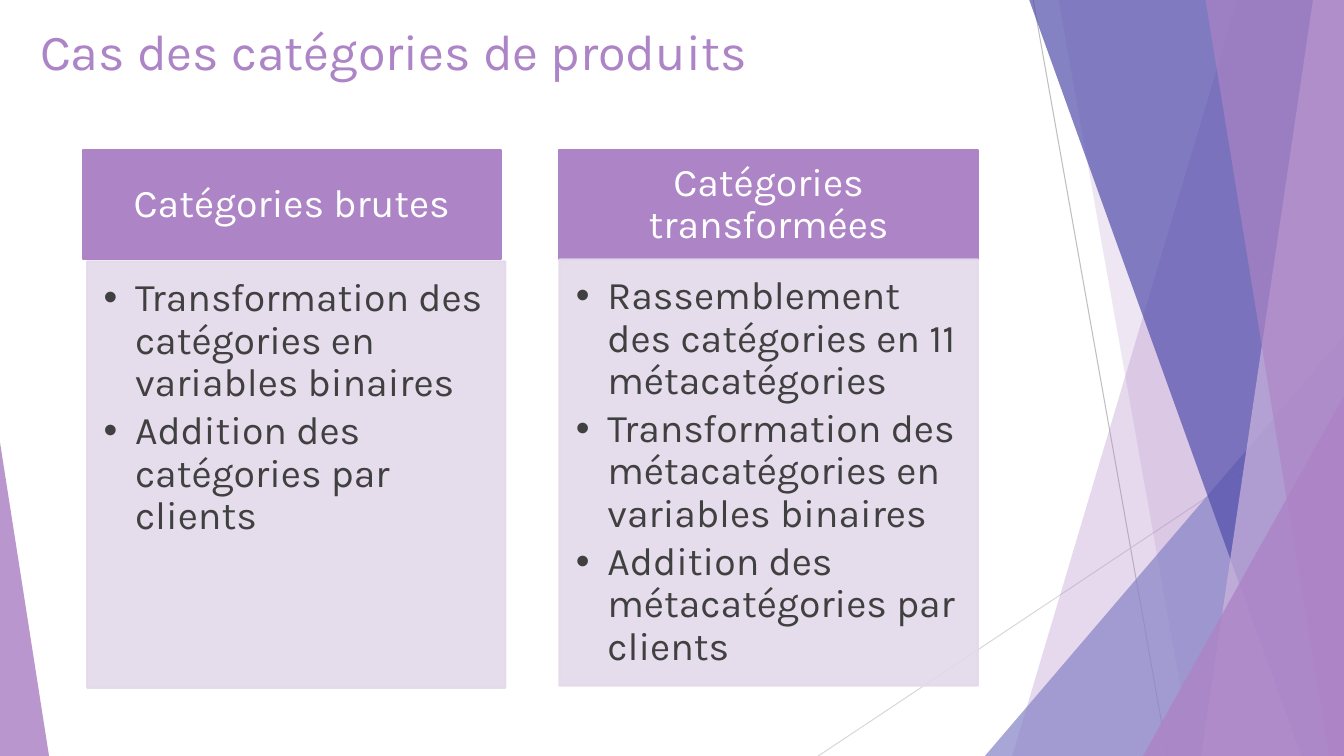
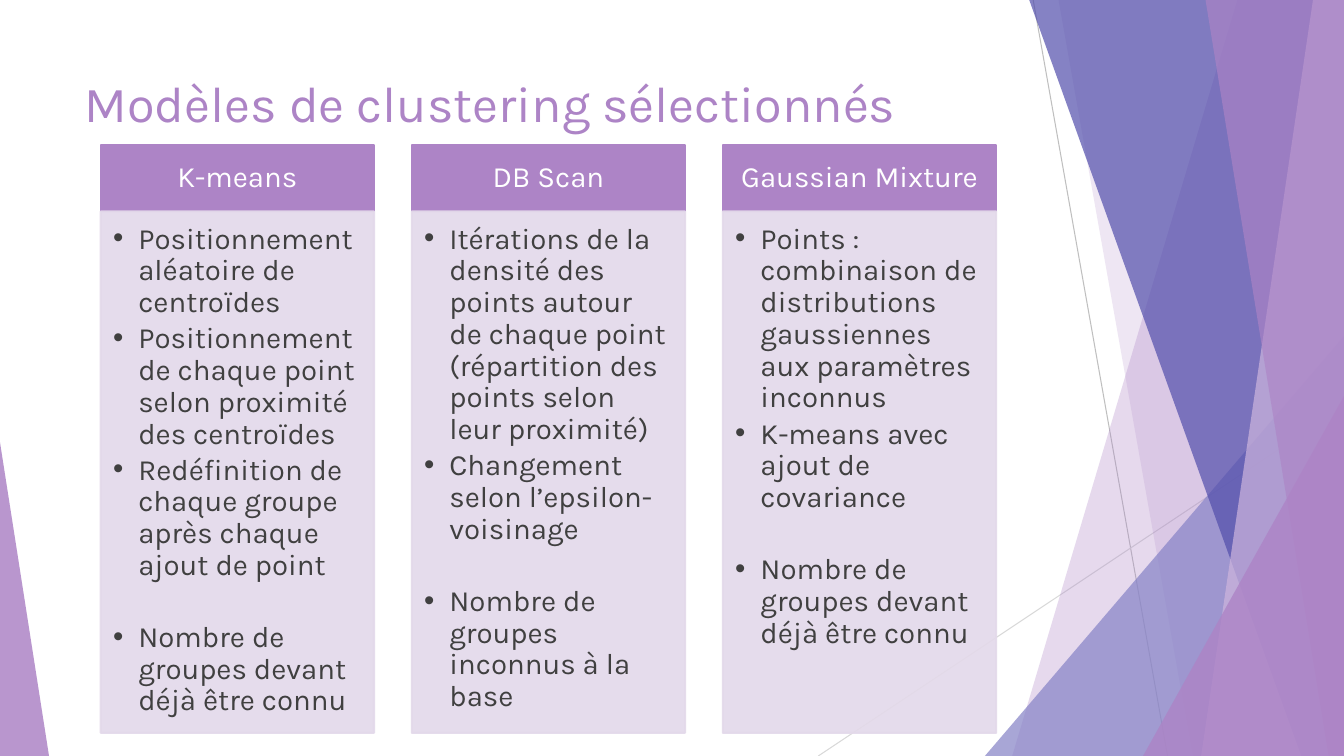
import pptx
import pptx.util
import pptx.dml.color
import pptx.enum.shapes
import pptx.enum.text
import pptx.oxml
import pptx.oxml.ns
from lxml import etree

Pt = pptx.util.Pt
qn = pptx.oxml.ns.qn
SHAPES = pptx.enum.shapes.MSO_SHAPE
ALIGN = pptx.enum.text.PP_ALIGN
ANCHOR = pptx.enum.text.MSO_ANCHOR

WIDTH, HEIGHT = 960, 540
BLEED = -0.6
FONT = "Karla"
TITLE_SIZE = 36
COLORS = {
    "purple": "AD84C6",
    "lilac": "CEB5DD",
    "pale": "E3D9EA",
    "periwinkle": "8784C7",
    "indigo": "524EAB",
    "text": "404040",
    "white": "FFFFFF",
    "dark_rule": "BFBFBF",
    "light_rule": "D9D9D9",
}
RULES = [
    ((738, 0), (834, HEIGHT), "dark_rule"),
    ((WIDTH, 290), (584.5, HEIGHT), "light_rule"),
]
FACETS = [
    ("ribbon", (884, 723), "purple", 30),
    ("ribbon", (756, 852), "purple", 20),
    ("triangle", (703.5, 240, 256.5, 300, 1), "periwinkle", 72),
    ("ribbon", (735, 929.5), "indigo", 70),
    ("ribbon", (938, 858), "lilac", 70),
    ("ribbon", (861, 949), "purple", 65),
    ("triangle", (816.5, 283, 143.5, 257, 1), "purple", 80),
    ("triangle", (0, 316, 35, 224, 0), "purple", 85),
]
SLIDES = [
    {
        "title": "Cas des catégories de produits",
        "title_box": (21.5, 11, 755, 101),
        "size": 28, "indent": 22.5, "header_height": 78,
        "first_card": (59, 107.3, 298.8, 382.5), "pitch": 340.6,
        "cards": [
            {
                "heading": "Catégories brutes",
                "points": ["Transformation des catégories en variables binaires",
                           "Addition des catégories par clients"],
                "body_shift": (3.2, 1.5),
            },
            {
                "heading": "Catégories transformées",
                "points": ["Rassemblement des catégories en 11 métacatégories",
                           "Transformation des métacatégories en variables binaires",
                           "Addition des métacatégories par clients"],
            },
        ],
    },
    {
        "title": "Modèles de clustering sélectionnés",
        "title_box": (53.5, 48.2, 677, 104),
        "size": 21, "indent": 18, "header_height": 47.5,
        "first_card": (72, 103.5, 195.2, 420), "pitch": 222.2,
        "cards": [
            {
                "heading": "K-means",
                "points": ["Positionnement aléatoire de centroïdes",
                           "Positionnement de chaque point selon proximité des centroïdes",
                           "Redéfinition de chaque groupe après chaque ajout de point"],
                "conclusion": "Nombre de groupes devant déjà être connu",
            },
            {
                "heading": "DB Scan",
                "points": ["Itérations de la densité des points autour de chaque point "
                           "(répartition des points selon leur proximité)",
                           "Changement selon l’epsilon-voisinage"],
                "conclusion": "Nombre de groupes inconnus à la base",
            },
            {
                "heading": "Gaussian Mixture",
                "points": ["Points : combinaison de distributions gaussiennes "
                           "aux paramètres inconnus",
                           "K-means avec ajout de covariance"],
                "conclusion": "Nombre de groupes devant déjà être connu",
            },
        ],
    },
]


def rgb(color):
    """Return the named colour."""
    return pptx.dml.color.RGBColor.from_string(COLORS[color])


def apply_format(target, values):
    """Set each attribute of the target from a dict."""
    for name, value in values.items():
        setattr(target, name, value)


def paint(shape, color, opacity=100, outlined=False):
    """Give a shape its flat fill, outline and opacity."""
    shape.shadow.inherit = False
    shape.fill.solid()
    shape.fill.fore_color.rgb = rgb(color)
    if outlined:
        shape.line.color.rgb = rgb(color)
        shape.line.width = Pt(1.5)
    else:
        shape.line.fill.background()
    if opacity < 100:
        for tint in shape._element.spPr.iter(qn("a:srgbClr")):
            etree.SubElement(tint, qn("a:alpha"), val=str(opacity * 1000))


def write(paragraph, text, size, color, **layout):
    """Write one styled run into a paragraph."""
    run = paragraph.add_run()
    run.text = text
    apply_format(run.font, {"name": FONT, "size": Pt(size)})
    run.font.color.rgb = rgb(color)
    apply_format(paragraph, layout)


def set_bullet(paragraph, indent):
    """Hang a round bullet in front of a paragraph."""
    properties = paragraph._p.get_or_add_pPr()
    properties.set("marL", str(Pt(indent)))
    properties.set("indent", str(-Pt(indent)))
    etree.SubElement(properties, qn("a:buFont"), typeface="Arial")
    etree.SubElement(properties, qn("a:buChar"), char="•")


def add_ribbon(slide, top_x, bottom_x):
    """Outline a band from a slanted edge to the right side of the slide."""
    corners = [(top_x, BLEED), (WIDTH, BLEED), (WIDTH, HEIGHT), (bottom_x, HEIGHT)]
    start, *others = [(Pt(x), Pt(y)) for x, y in corners]
    outline = slide.shapes.build_freeform(*start)
    outline.add_line_segments(others, close=True)
    return outline.convert_to_shape()


def add_triangle(slide, left, top, width, height, apex):
    """Place a right triangle whose apex is at the given share of its width."""
    triangle = slide.shapes.add_shape(
        SHAPES.ISOSCELES_TRIANGLE, Pt(left), Pt(top), Pt(width), Pt(height))
    triangle.adjustments[0] = apex
    return triangle


def add_backdrop(slide):
    """Draw the thin rules and translucent facets shared by all slides."""
    for start, end, color in RULES:
        rule = slide.shapes.add_connector(
            pptx.enum.shapes.MSO_CONNECTOR.STRAIGHT, *map(Pt, start + end))
        rule.line.color.rgb = rgb(color)
        rule.line.width = Pt(0.75)
        etree.SubElement(rule._element.spPr, qn("a:effectLst"))
    builders = {"ribbon": add_ribbon, "triangle": add_triangle}
    for kind, geometry, color, opacity in FACETS:
        paint(builders[kind](slide, *geometry), color, opacity)


def add_title(slide, box, title):
    """Write the slide title in its box."""
    frame = slide.shapes.add_textbox(*map(Pt, box)).text_frame
    apply_format(frame, {"word_wrap": True, "vertical_anchor": ANCHOR.TOP})
    write(frame.paragraphs[0], title, TITLE_SIZE, "purple")


def add_panel(slide, box, color, opacity, anchor, margins):
    """Place an outlined rectangle and return its text frame."""
    panel = slide.shapes.add_shape(SHAPES.RECTANGLE, *map(Pt, box))
    paint(panel, color, opacity, outlined=True)
    sides = ("margin_left", "margin_top", "margin_right", "margin_bottom")
    apply_format(panel.text_frame, {"word_wrap": True, "vertical_anchor": anchor})
    apply_format(panel.text_frame, dict(zip(sides, map(Pt, margins))))
    return panel.text_frame


def add_card(slide, box, card, size, indent, header_height):
    """Stack a heading panel over a bulleted panel within a box."""
    left, top, width, height = box
    heading = add_panel(
        slide, (left, top, width, header_height), "purple", 100, ANCHOR.MIDDLE,
        [size * share for share in (0.56, 0.31, 0.56, 0.31)])
    write(heading.paragraphs[0], card["heading"], size, "white",
          alignment=ALIGN.CENTER, line_spacing=0.9)

    shift_x, shift_y = card.get("body_shift", (0, 0))
    body = add_panel(
        slide,
        (left + shift_x, top + header_height + shift_y, width, height - header_height),
        "pale", 90, ANCHOR.TOP,
        [size * share for share in (0.42, 0.42, 0.56, 0.63)])
    entries = [(point, 0) for point in card["points"]]
    if "conclusion" in card:
        entries.append((card["conclusion"], 1.22 * size))
    for index, (entry, gap) in enumerate(entries):
        paragraph = body.add_paragraph() if index else body.paragraphs[0]
        write(paragraph, entry, size, "text", alignment=ALIGN.LEFT, line_spacing=0.9,
              space_before=Pt(gap), space_after=Pt(0.15 * size))
        set_bullet(paragraph, indent)


def add_card_slide(deck, content):
    """Build a slide with a title and a row of equally spaced cards."""
    slide = deck.slides.add_slide(deck.slide_layouts[6])
    add_backdrop(slide)
    add_title(slide, content["title_box"], content["title"])
    left, *rest = content["first_card"]
    for column, card in enumerate(content["cards"]):
        add_card(slide, (left + column * content["pitch"], *rest), card,
                 content["size"], content["indent"], content["header_height"])


def main():
    """Build and save the presentation."""
    deck = pptx.Presentation()
    apply_format(deck, {"slide_width": Pt(WIDTH), "slide_height": Pt(HEIGHT)})
    for content in SLIDES:
        add_card_slide(deck, content)
    deck.save("out.pptx")


if __name__ == "__main__":
    main()
